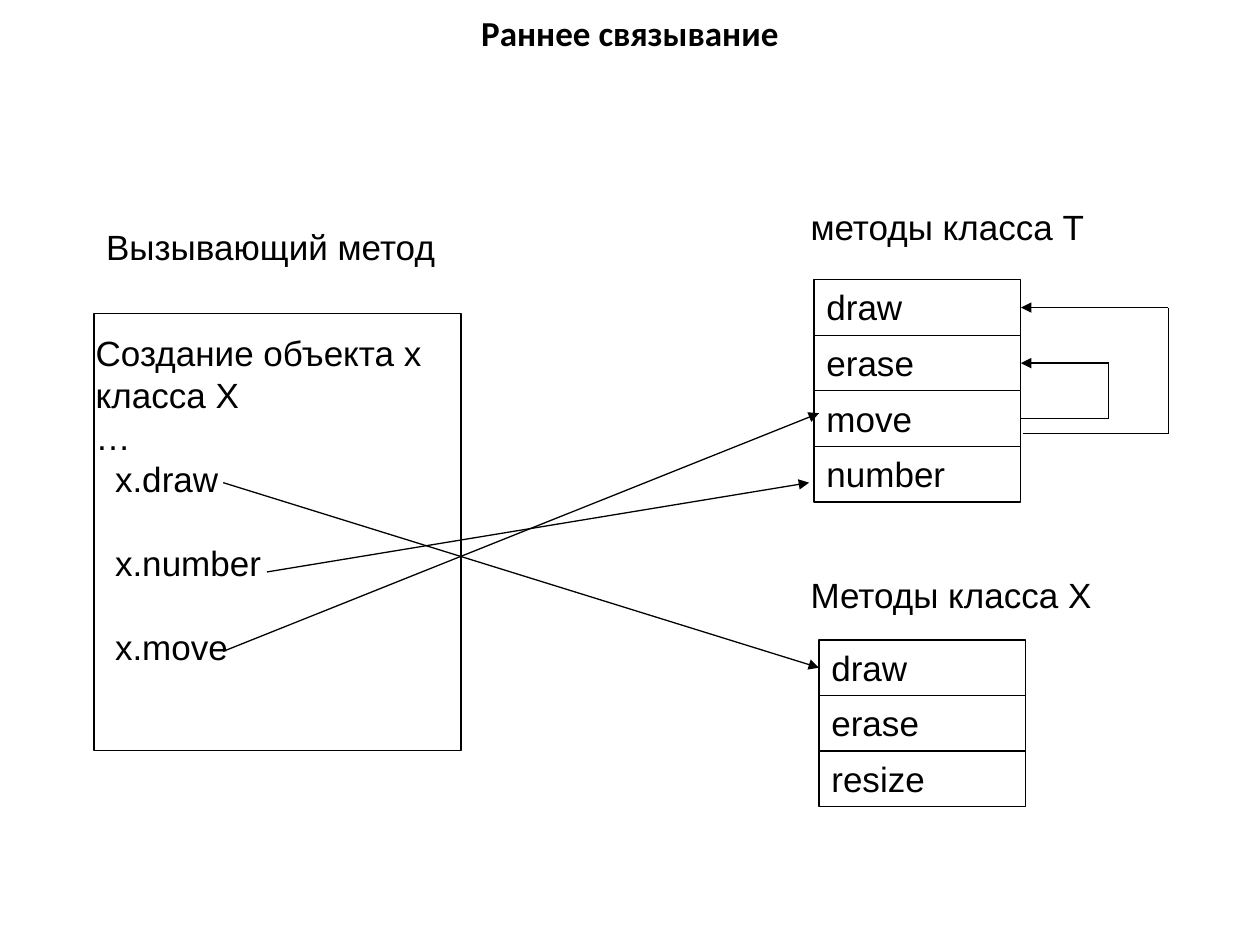
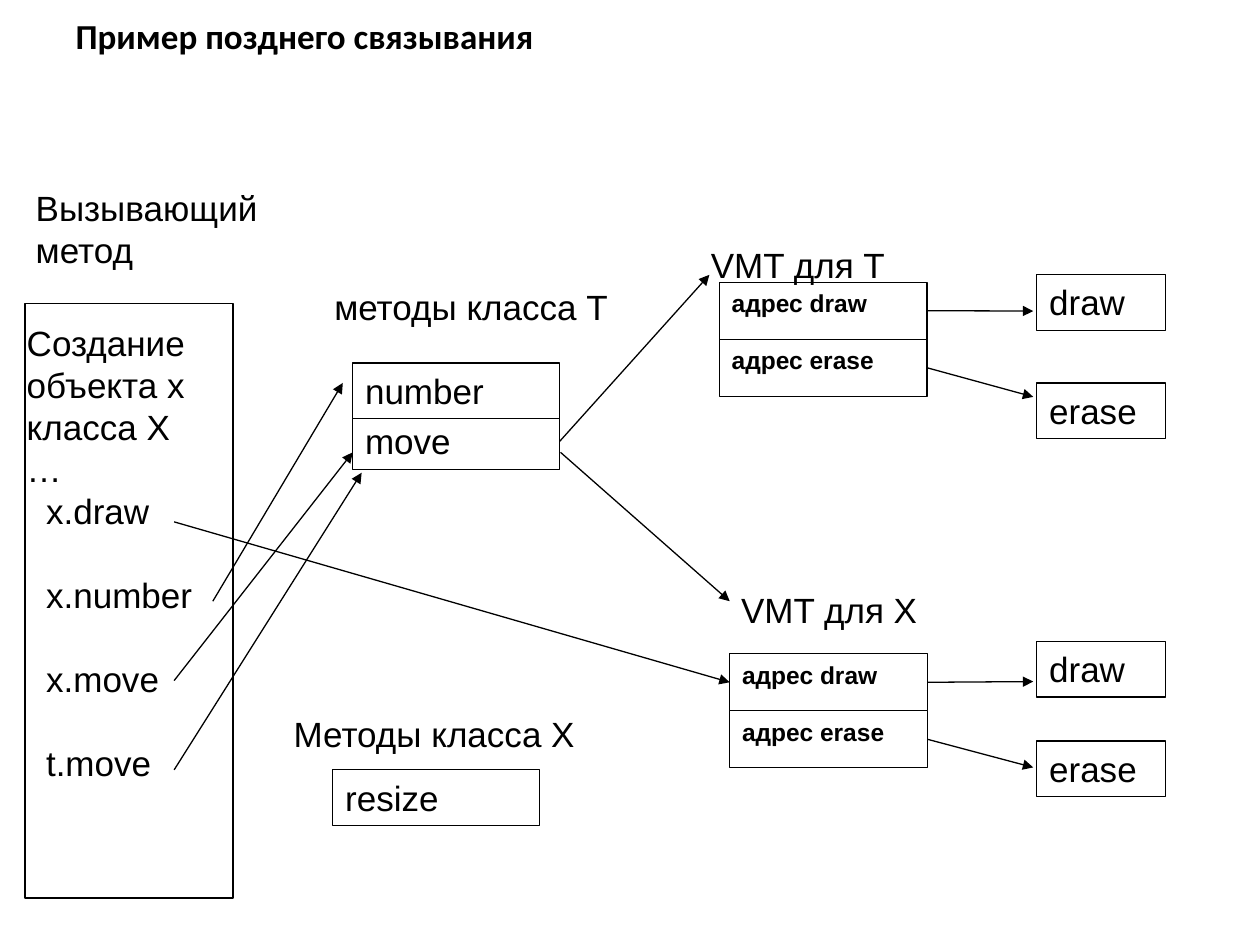
from dataclasses import dataclass
from itertools import pairwise

from pptx import Presentation
from pptx.dml.color import RGBColor
from pptx.enum import shapes, text
from pptx.oxml import ns, xmlchemy
from pptx.util import Cm, Pt


@dataclass(frozen=True)
class Theme:
    ink: RGBColor = RGBColor(0, 0, 0)
    paper: RGBColor = RGBColor(255, 255, 255)
    title_font: str = "Calibri"
    body_font: str = "Arial"
    size: int = 20
    small: int = 14
    frame: float = 1
    thin: float = 0.75


THEME = Theme()
LEFT, RIGHT = 1, 3
ROW = 1.12
TIGHT = 0.03      # text inset of labels and the caller box
CALL_GAP = 24     # points between calls
CALL_INDENT = 0.39

# All positions in centimetres. An arrow runs through (x, y) points
# or (box name, side) pairs, with its head at the last one.
PAGES = [
    dict(
        title="Раннее связывание",
        title_at=(1.27, 0, 22.86, 1.32),
        title_align=text.PP_ALIGN.CENTER,
        caller_at=(1.9, 6.32, 7.39, 8.81),
        calls=["x.draw", "x.number", "x.move"],
        labels=[
            ("Вызывающий метод", (2.11, 4.52, 9.75, 1.35)),
            ("методы класса Т", (16.31, 4.11, 6.4, 1.35)),
            ("Методы класса X", (16.31, 11.53, 7.21, 1.35)),
        ],
        stacks=[
            dict(name="T", at=(16.41, 5.64), width=4.17,
                 rows=["draw", "erase", "move", "number"]),
            dict(name="X", at=(16.51, 12.9), width=4.17,
                 rows=["draw", "erase", "resize"]),
        ],
        arrows=[
            [(5.38, 11.53), (16.31, 9.73)],
            [(4.5, 13.13), (16.51, 8.33)],
            [(4.5, 9.73), ("X.draw", LEFT)],
            [("T.move", RIGHT), (22.35, 8.44), (22.35, 7.32), ("T.erase", RIGHT)],
            [(20.62, 8.74), (23.55, 8.74), (23.55, 6.2), ("T.draw", RIGHT)],
        ],
    ),
    dict(
        title="Пример позднего связывания",
        title_at=(1.27, 0.13, 22.86, 1.19),
        title_align=text.PP_ALIGN.LEFT,
        caller_at=(0.51, 6.12, 4.19, 11.99),
        calls=["x.draw", "x.number", "x.move", "t.move"],
        labels=[
            ("Вызывающий метод", (0.69, 3.73, 4.8, 1.96)),
            ("методы класса Т", (6.71, 5.72, 5.79, 1.35)),
            ("Методы класса X", (5.89, 14.33, 7.21, 1.35)),
            ("VMT для X", (14.91, 11.84, 4.39, 1.35)),
            ("VMT для T", (14.3, 4.88, 4.42, 1.35)),
        ],
        stacks=[
            dict(name="T", at=(7.11, 7.32), width=4.17, pitch=1.02,
                 rows=["number", "move"]),
            dict(name="X", at=(6.71, 15.52), width=4.17, rows=["resize"]),
            dict(name="VMT T", at=(14.5, 5.69), width=4.19, height=1.15,
                 rows=["адрес draw", "адрес erase"], small=True),
            dict(name="VMT X", at=(14.71, 13.18), width=3.99, height=1.15,
                 rows=["адрес draw", "адрес erase"], small=True),
            dict(name="code T", at=(20.9, 5.54), width=2.59, pitch=2.18,
                 rows=["draw", "erase"]),
            dict(name="code X", at=(20.9, 12.93), width=2.59, pitch=2.01,
                 rows=["draw", "erase"]),
        ],
        arrows=[
            [(4.29, 12.12), (6.91, 7.72)],
            [(3.51, 13.72), (7.11, 9.12)],
            [(3.51, 15.52), (7.29, 9.53)],
            [(3.51, 10.52), ("VMT X.адрес draw", LEFT)],
            [("T.move", RIGHT), (14.3, 5.54)],
            [(11.3, 9.12), (14.71, 12.12)],
            [("VMT T.адрес draw", RIGHT), (20.83, 6.27)],
            [("VMT T.адрес erase", RIGHT), (20.83, 8.0)],
            [("VMT X.адрес draw", RIGHT), (20.83, 13.74)],
            [("VMT X.адрес erase", RIGHT), (20.83, 15.47)],
        ],
    ),
]


def apply(target, **values):
    for name, value in values.items():
        setattr(target, name, value)


def write(para, words, size=THEME.size, bold=False, font=THEME.body_font):
    span = para.add_run()
    span.text = words
    apply(span.font, name=font, size=Pt(size), bold=bold)
    span.font.color.rgb = THEME.ink


def tighten(frame, top=TIGHT):
    apply(frame, margin_left=Cm(TIGHT), margin_right=Cm(TIGHT),
          margin_top=Cm(top), margin_bottom=Cm(TIGHT))


def add_box(page, at, weight):
    """Add an outlined rectangle with left-aligned text at its top."""
    box = page.shapes.add_shape(shapes.MSO_SHAPE.RECTANGLE, *map(Cm, at))
    box.shadow.inherit = False
    box.line.color.rgb = THEME.ink
    box.line.width = Pt(weight)
    apply(box.text_frame, word_wrap=True, vertical_anchor=text.MSO_ANCHOR.TOP)
    box.text_frame.paragraphs[0].alignment = text.PP_ALIGN.LEFT
    return box


def add_title(page, words, at, align):
    title = page.shapes.title
    apply(title, **dict(zip(("left", "top", "width", "height"), map(Cm, at))))
    apply(title.text_frame, auto_size=text.MSO_AUTO_SIZE.NONE,
          vertical_anchor=text.MSO_ANCHOR.MIDDLE)
    para = title.text_frame.paragraphs[0]
    para.alignment = align
    write(para, words, bold=True, font=THEME.title_font)


def add_caller(page, at, calls):
    """Add the calling method: two plain lines, then indented calls."""
    box = add_box(page, at, THEME.frame)
    box.fill.background()
    frame = box.text_frame
    tighten(frame, top=0.36)
    write(frame.paragraphs[0], "Создание объекта x класса X")
    for number, line in enumerate(["…", *calls]):
        para = frame.add_paragraph()
        para.alignment = text.PP_ALIGN.LEFT
        if number > 0:
            para._p.get_or_add_pPr().set("marL", str(Cm(CALL_INDENT)))
        if number > 1:
            para.space_before = Pt(CALL_GAP)
        write(para, line)


def add_label(page, words, at):
    label = page.shapes.add_textbox(*map(Cm, at))
    label.text_frame.word_wrap = True
    tighten(label.text_frame)
    write(label.text_frame.paragraphs[0], words)


def add_stack(page, name, at, width, rows, height=ROW, pitch=None, small=False):
    """Add one box per row, upper over lower, and return them by name."""
    left, top = at
    boxes = {}
    for number, row in reversed(list(enumerate(rows))):
        place = (left, top + number * (pitch or height), width, height)
        box = add_box(page, place, THEME.thin)
        box.fill.solid()
        box.fill.fore_color.rgb = THEME.paper
        para = box.text_frame.paragraphs[0]
        apply(para, space_before=Pt(3), space_after=Pt(3))
        write(para, row, THEME.small if small else THEME.size, bold=small)
        boxes[f"{name}.{row}"] = box
    return boxes


def locate(point, boxes):
    first, second = point
    if first not in boxes:
        return Cm(first), Cm(second)
    box = boxes[first]
    return box.left + (box.width if second == RIGHT else 0), box.top + box.height // 2


def add_arrow(page, points, boxes):
    for start, end in pairwise(points):
        line = page.shapes.add_connector(
            shapes.MSO_CONNECTOR.STRAIGHT, *locate(start, boxes), *locate(end, boxes))
        for point, join in ((start, line.begin_connect), (end, line.end_connect)):
            if point[0] in boxes:
                join(boxes[point[0]], point[1])
        line.line.color.rgb = THEME.ink
        line.line.width = Pt(THEME.thin)
        if end is points[-1]:
            head = xmlchemy.OxmlElement("a:tailEnd")
            head.set("type", "triangle")
            line.line._get_or_add_ln().append(head)
        properties = line._element.find(ns.qn("p:spPr"))
        properties.append(xmlchemy.OxmlElement("a:effectLst"))


def add_page(deck, content):
    page = deck.slides.add_slide(deck.slide_layouts[5])
    add_title(page, content["title"], content["title_at"], content["title_align"])
    add_caller(page, content["caller_at"], content["calls"])
    boxes = {}
    for stack in content["stacks"]:
        boxes.update(add_stack(page, **stack))
    for words, at in content["labels"]:
        add_label(page, words, at)
    for points in content["arrows"]:
        add_arrow(page, points, boxes)


def main():
    deck = Presentation()
    apply(deck, slide_width=Cm(25.4), slide_height=Cm(19.05))
    for content in PAGES:
        add_page(deck, content)
    deck.save("out.pptx")


if __name__ == "__main__":
    main()
